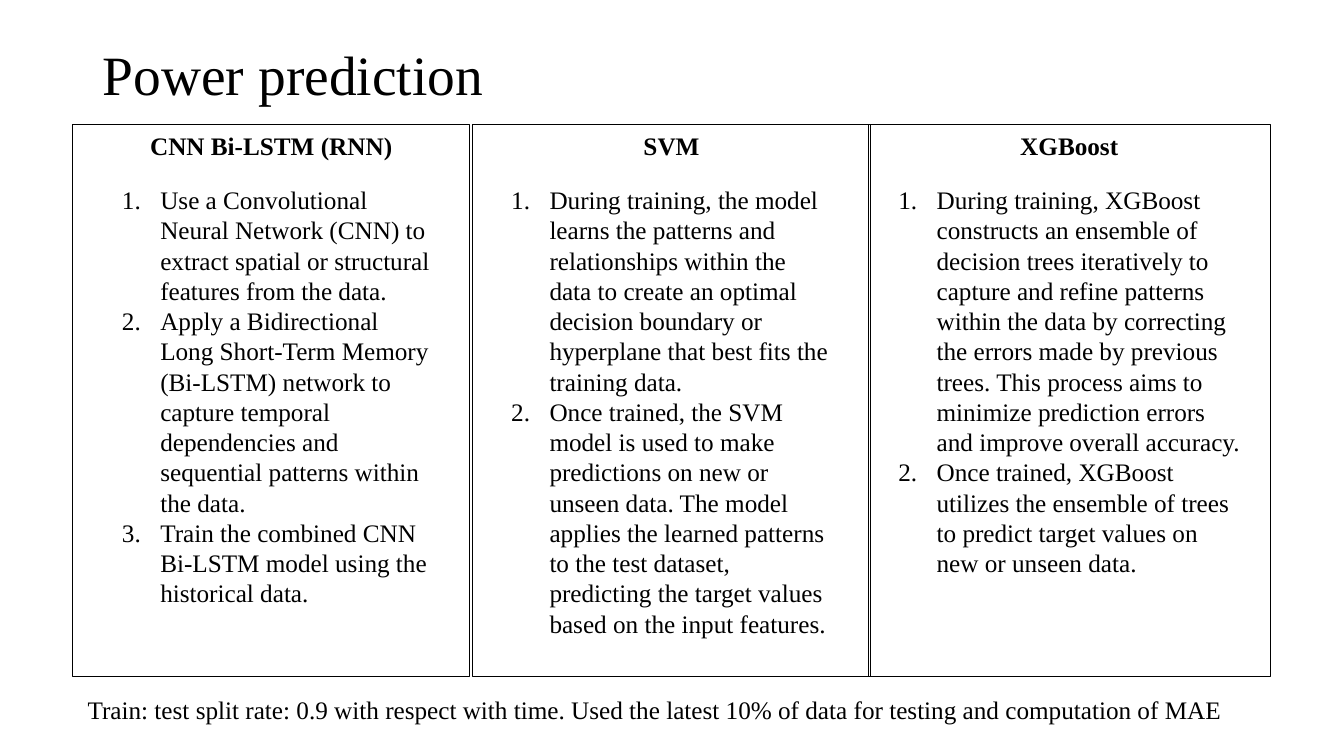
from lxml.etree import SubElement as Sub
from pptx import Presentation
from pptx.dml.color import RGBColor
from pptx.enum.shapes import MSO_SHAPE as Shape
from pptx.enum.text import MSO_ANCHOR as Anchor, MSO_AUTO_SIZE as Fit, PP_ALIGN as Align
from pptx.oxml.ns import qn
from pptx.util import Emu, Pt

SCALE = 9144  # EMU per px, 100 px to the inch
INK = "000000"
INDENT = 38

COLUMNS = [
    ("CNN Bi-LSTM (RNN)", (72, 124, 394, 547), (111, 178, 328, 434), [
        "Use a Convolutional Neural Network (CNN) to extract spatial or structural "
        "features from the data.",
        "Apply a Bidirectional Long Short-Term Memory (Bi-LSTM) network to capture "
        "temporal dependencies and sequential patterns within the data.",
        "Train the combined CNN Bi-LSTM model using the historical data.",
    ]),
    ("SVM", (469, 124, 394, 547), (497, 178, 339, 464), [
        "During training, the model learns the patterns and relationships within the "
        "data to create an optimal decision boundary or hyperplane that best fits the "
        "training data.",
        "Once trained, the SVM model is used to make predictions on new or unseen data. "
        "The model applies the learned patterns to the test dataset, predicting the "
        "target values based on the input features.",
    ]),
    ("XGBoost", (861, 124, 399, 547), (881, 178, 360, 434), [
        "During training, XGBoost constructs an ensemble of decision trees iteratively "
        "to capture and refine patterns within the data by correcting the errors made "
        "by previous trees. This process aims to minimize prediction errors and improve "
        "overall accuracy.",
        "Once trained, XGBoost utilizes the ensemble of trees to predict target values "
        "on new or unseen data.",
    ]),
]
NOTE = ("Train: test split rate: 0.9 with respect with time. Used the latest 10% of data "
        "for testing and computation of MAE")


def px(n):
    return Emu(n * SCALE)


def color(code):
    return RGBColor.from_string(code)


def assign(item, values):
    for name, value in values.items():
        setattr(item, name, value)


class Deck:
    """Holds the text style and the current slide."""

    font = {"name": "Times New Roman", "size": Pt(18), "bold": False}
    para = {"alignment": Align.LEFT, "line_spacing": 1.0,
            "space_before": Pt(0), "space_after": Pt(0)}
    frame = {"word_wrap": True, "auto_size": Fit.NONE, "vertical_anchor": Anchor.TOP}

    def __init__(self, slide):
        self.slide = slide

    def place(self, item, box):
        assign(item, dict(zip(("left", "top", "width", "height"), map(px, box))))

    def label(self, item, lines, font={}, para={}, frame={}):
        """Fill an item with paragraphs in the deck's style plus any changes."""
        body = item.text_frame
        assign(body, {**self.frame, **frame})
        body.text = "\n".join(lines)
        for p in body.paragraphs:
            assign(p, {**self.para, **para})
            for run in p.runs:
                assign(run.font, {**self.font, **font})
                run.font.color.rgb = color(INK)

    def title(self, text, box):
        item = self.slide.shapes.title
        self.place(item, box)
        self.label(item, [text], {"size": Pt(39.6)}, {"line_spacing": 0.9},
                   {"vertical_anchor": Anchor.MIDDLE})

    def panel(self, head, box):
        item = self.slide.shapes.add_shape(Shape.RECTANGLE, *map(px, box))
        item.shadow.inherit = False
        item.fill.background()
        item.line.color.rgb = color(INK)
        item.line.width = Pt(0.75)
        self.label(item, [head], {"bold": True}, {"alignment": Align.CENTER})

    def steps(self, slot, lines, box):
        """Turn a body placeholder into a numbered list."""
        self.place(slot, box)
        self.label(slot, lines)
        for p in slot.text_frame.paragraphs:
            props = p._p.get_or_add_pPr()
            props.set("marL", str(px(INDENT)))
            props.set("indent", str(-px(INDENT)))
            Sub(props, qn("a:buFont"), typeface="+mj-lt")
            Sub(props, qn("a:buAutoNum"), type="arabicPeriod")

    def note(self, text, box):
        self.label(self.slide.shapes.add_textbox(*map(px, box)), [text])


def main():
    show = Presentation()
    show.slide_width, show.slide_height = px(1333), px(750)
    slide = show.slides.add_slide(show.slide_layouts.get_by_name("Comparison"))
    deck = Deck(slide)
    deck.title("Power prediction", (92, 40, 1150, 73))
    slots = [s for s in slide.placeholders if s.placeholder_format.idx > 0]
    for slot, (head, box, area, lines) in zip(slots, COLUMNS):
        deck.panel(head, box)
        deck.steps(slot, lines, area)
    for spare in slots[len(COLUMNS):]:
        spare.element.getparent().remove(spare.element)
    deck.note(NOTE, (77, 684, 1182, 40))
    show.save("out.pptx")


if __name__ == "__main__":
    main()
